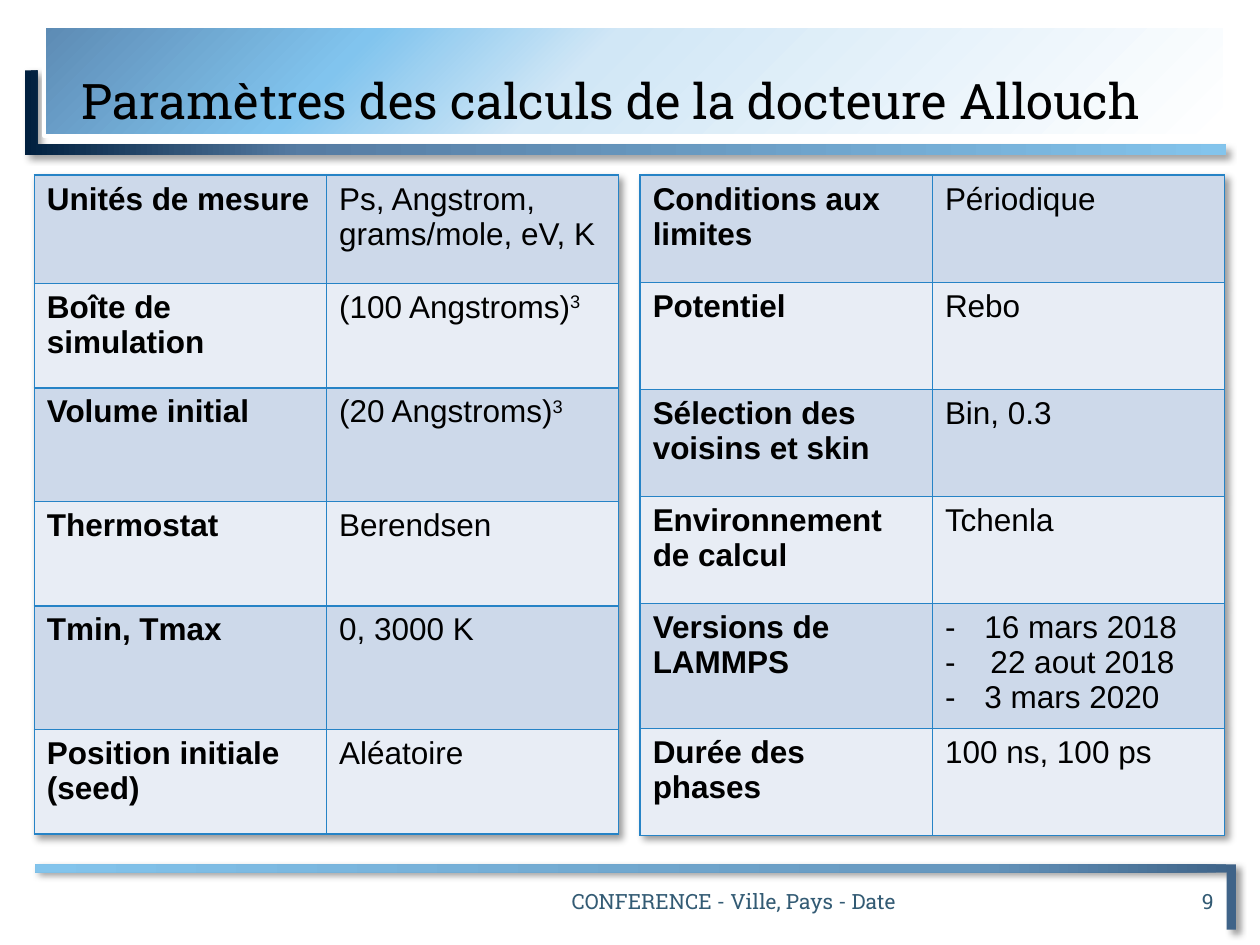
from copy import deepcopy

from lxml import etree
from pptx import Presentation
from pptx.dml import color as dml
from pptx.enum import shapes, text
from pptx.oxml import ns
from pptx.util import Pt


def color(value):
    return dml.RGBColor.from_string(value)


def add_shadow(effects):
    shadow = etree.SubElement(effects, ns.qn("a:outerShdw"), blurRad=str(Pt(4)),
                              dist=str(Pt(3)), dir="2700000", algn="tl", rotWithShape="0")
    shade = etree.SubElement(shadow, ns.qn("a:srgbClr"), val="000000")
    etree.SubElement(shade, ns.qn("a:alpha"), val="40000")


presentation = Presentation()
presentation.slide_width = Pt(720)
presentation.slide_height = Pt(540)
slide = presentation.slides.add_slide(presentation.slide_layouts[6])

corner = shapes.MSO_SHAPE.CORNER
rectangle = shapes.MSO_SHAPE.RECTANGLE
header_stops = [(0, "01203F"), (0.23, "567CA3"), (1, "83C4EC")]
footer_stops = [(0, "3F6388"), (0.23, "6798BF"), (1, "83C4EC")]
title_stops = [(0, "5D8BB4"), (0.26, "81C4EE"), (0.45, "D1E7F6"), (1, "FFFFFF")]
banners = [
    (corner, (14.4, 40.3, 686.2, 48.2), header_stops, 0, False),
    (corner, (20.2, 493.9, 686.2, 37.4), footer_stops, 0, True),
    (rectangle, (25.2, 15.1, 674.6, 62.6), title_stops, 315, False),
]
for kind, box, stops, angle, flipped in banners:
    shape = slide.shapes.add_shape(kind, *[Pt(length) for length in box])
    shape.fill.gradient()
    shape.fill.gradient_angle = angle
    stop_list = shape._element.spPr.find(".//" + ns.qn("a:gsLst"))
    while len(stop_list) < len(stops):
        stop_list.append(deepcopy(stop_list[0]))
    for stop, (position, value) in zip(shape.fill.gradient_stops, stops):
        stop.position = position
        stop.color.rgb = color(value)
    shape.shadow.inherit = False
    if kind == corner:
        shape.line.fill.background()
        shape.adjustments[0] = 0.124
        shape.adjustments[1] = 0.147
        add_shadow(shape._element.spPr.find(ns.qn("a:effectLst")))
    if flipped:
        shape._element.spPr.xfrm.set("flipH", "1")
        shape._element.spPr.xfrm.set("flipV", "1")

title = shape
title.line.color.rgb = color("FFFFFF")
title.line.width = Pt(2)
title.text_frame.word_wrap = True
title.text_frame.vertical_anchor = text.MSO_ANCHOR.BOTTOM
paragraph = title.text_frame.paragraphs[0]
paragraph.alignment = text.PP_ALIGN.LEFT
paragraph.line_spacing = 0.9
paragraph._p.get_or_add_pPr().set("marL", str(Pt(14.4)))
run = paragraph.add_run()
run.text = "Paramètres des calculs de la docteure Allouch"
run.font.name = "Roboto Slab"
run.font.size = Pt(28)
run.font.color.rgb = color("000000")

left_rows = [
    (61.9, "Unités de mesure", "Ps, Angstrom, grams/mole, eV, K", ""),
    (59.8, "Boîte de simulation", "(100 Angstroms)", "3"),
    (64.8, "Volume initial", "(20 Angstroms)", "3"),
    (59.8, "Thermostat", "Berendsen", ""),
    (70.6, "Tmin, Tmax", "0, 3000 K", ""),
    (59.8, "Position initiale (seed)", "Aléatoire", ""),
]
right_rows = [
    (61.2, "Conditions aux limites", "Périodique", ""),
    (61.2, "Potentiel", "Rebo", ""),
    (61.2, "Sélection des voisins et skin", "Bin, 0.3", ""),
    (61.2, "Environnement de calcul", "Tchenla", ""),
    (71.3, "Versions de LAMMPS", "16 mars 2018\n22 aout 2018\n3 mars 2020", ""),
    (61.2, "Durée des phases", "100 ns, 100 ps", ""),
]
bullet_indents = [22.5, 26, 22.5]
for left, rows in [(19.6, left_rows), (365.8, right_rows)]:
    height = sum(row[0] for row in rows)
    frame = slide.shapes.add_table(len(rows), 2, Pt(left), Pt(100.1), Pt(334), Pt(height))
    table = frame.table
    table.first_row = False
    table.horz_banding = False
    effects = etree.Element(ns.qn("a:effectLst"))
    add_shadow(effects)
    table._tbl.tblPr.insert(0, effects)
    for row_index, (row_height, label, value, exponent) in enumerate(rows):
        table.rows[row_index].height = Pt(row_height)
        for column_index, content in enumerate([label, value]):
            cell = table.cell(row_index, column_index)
            lines = content.split("\n")
            for line_index, line in enumerate(lines):
                if line_index:
                    paragraph = cell.text_frame.add_paragraph()
                else:
                    paragraph = cell.text_frame.paragraphs[0]
                if len(lines) > 1:
                    properties = paragraph._p.get_or_add_pPr()
                    indent = Pt(bullet_indents[line_index])
                    properties.set("marL", str(indent))
                    properties.set("indent", str(-indent))
                    etree.SubElement(properties, ns.qn("a:buFont"), typeface="Arial")
                    etree.SubElement(properties, ns.qn("a:buChar"), char="-")
                pieces = [line, exponent] if column_index and exponent else [line]
                for piece in pieces:
                    run = paragraph.add_run()
                    run.text = piece
                    run.font.name = "Arial"
                    run.font.size = Pt(18)
                    run.font.bold = column_index == 0
                    run.font.color.rgb = color("000000")
                if len(pieces) > 1:
                    run.font._element.set("baseline", "30000")
            cell_properties = cell._tc.get_or_add_tcPr()
            for side in ["a:lnL", "a:lnR", "a:lnT", "a:lnB"]:
                border = etree.SubElement(cell_properties, ns.qn(side), w=str(Pt(1)))
                solid = etree.SubElement(border, ns.qn("a:solidFill"))
                etree.SubElement(solid, ns.qn("a:srgbClr"), val="2683C6")
            cell.fill.solid()
            cell.fill.fore_color.rgb = color(["CDD9EA", "E8EDF5"][row_index % 2])

footers = [
    (206.6, 425.5, text.PP_ALIGN.CENTER, "CONFERENCE - Ville, Pays - Date"),
    (643.7, 56.9, text.PP_ALIGN.RIGHT, "9"),
]
for left, width, alignment, content in footers:
    footer = slide.shapes.add_textbox(Pt(left), Pt(500.4), Pt(width), Pt(28.8))
    footer.text_frame.word_wrap = True
    footer.text_frame.vertical_anchor = text.MSO_ANCHOR.MIDDLE
    paragraph = footer.text_frame.paragraphs[0]
    paragraph.alignment = alignment
    paragraph.space_after = Pt(6)
    run = paragraph.add_run()
    run.text = content
    run.font.name = "Roboto Slab"
    run.font.size = Pt(12)
    run.font.color.rgb = color("335B74")

presentation.save("out.pptx")
